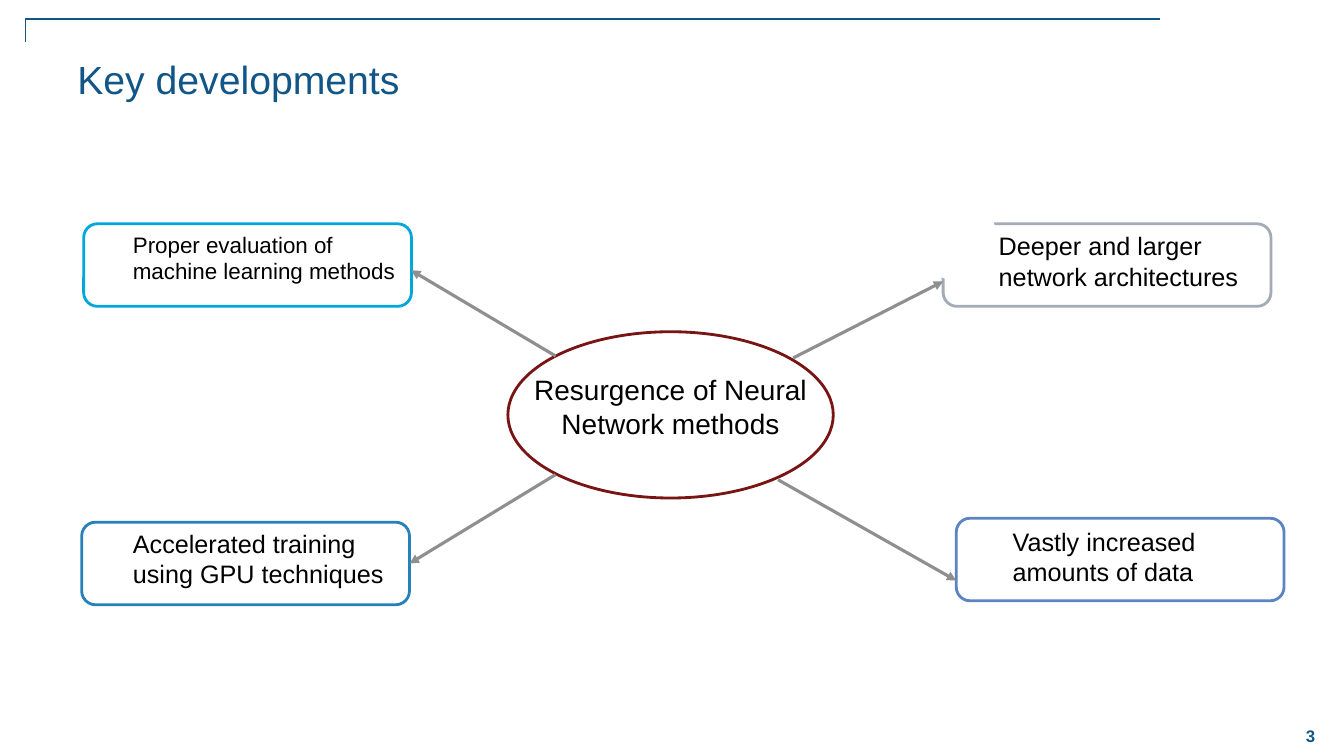
from lxml.etree import SubElement
from pptx import Presentation
from pptx.dml.color import RGBColor
from pptx.enum.shapes import MSO_CONNECTOR, MSO_SHAPE
from pptx.enum.text import MSO_ANCHOR, PP_ALIGN
from pptx.oxml.ns import qn
from pptx.util import Cm, Pt

NAVY = RGBColor(0x12, 0x56, 0x87)
MAROON = RGBColor(0x78, 0x14, 0x14)
CYAN = RGBColor(0x00, 0xA7, 0xD8)
SILVER = RGBColor(0xA3, 0xAC, 0xB4)
BLUE = RGBColor(0x27, 0x80, 0xBA)
PERIWINKLE = RGBColor(0x5A, 0x84, 0xC3)
GRAY = RGBColor(0x8F, 0x8F, 0x8F)
BLACK = RGBColor(0, 0, 0)
WHITE = RGBColor(255, 255, 255)

FONT = "Arial"
TITLE = "Key developments"
CENTER = "Resurgence of Neural Network methods"
PAGE_NUMBER = "3"
BRACKET = [(29.24, 0.48), (0.64, 0.48), (0.64, 1.07)]
BOX_SIZE = (8.26, 2.08)

DEVELOPMENTS = [
    {"text": "Proper evaluation of machine learning methods", "size": 16, "color": CYAN,
     "corner": (2.11, 5.64), "text_area": (3.1, 5.69, 7.8, 2.49), "indent": 0,
     "arrow": (14, 8.97, 10.36, 6.81)},
    {"text": "Deeper and larger network architectures", "size": 18, "color": SILVER,
     "corner": (23.77, 5.64), "text_area": (23.65, 5.69, 9.02, 1.8), "indent": 1.27,
     "arrow": (19.99, 9.02, 23.77, 7.09)},
    {"text": "Accelerated training using GPU techniques", "size": 18, "color": BLUE,
     "corner": (2.06, 13.16), "text_area": (1.83, 13.18, 8.9, 1.8), "indent": 1.27,
     "arrow": (14, 11.96, 10.32, 14.2), "side": 3},
    {"text": "Vastly increased amounts of data", "size": 18, "color": PERIWINKLE,
     "corner": (24.1, 13.06), "text_area": (25.27, 13.13, 7.5, 2.64), "indent": 0,
     "arrow": (19.61, 12.09, 24.1, 14.63)},
]


def lengths(values):
    return [Cm(value) for value in values]


def add_text(shapes, area, text, size, color=BLACK, align=PP_ALIGN.LEFT,
             anchor=MSO_ANCHOR.TOP, bold=False, indent=0):
    box = shapes.add_textbox(*lengths(area))
    box.text_frame.word_wrap = True
    box.text_frame.vertical_anchor = anchor
    box.text_frame.text = text
    paragraph = box.text_frame.paragraphs[0]
    paragraph.alignment = align
    if indent:
        paragraph.level = 1
        properties = paragraph._p.get_or_add_pPr()
        properties.set("marL", str(Cm(indent)))
        properties.set("indent", "0")
    font = paragraph.runs[0].font
    font.name, font.size, font.bold = FONT, Pt(size), bold
    font.color.rgb = color


def add_outline(shapes, kind, area, color=None):
    shape = shapes.add_shape(kind, *lengths(area))
    shape.shadow.inherit = False
    shape.fill.solid()
    shape.fill.fore_color.rgb = WHITE
    if color is None:
        shape.line.fill.background()
    else:
        shape.line.color.rgb = color
        shape.line.width = Pt(2)
    return shape


def add_arrow(shapes, ends, target, side):
    arrow = shapes.add_connector(MSO_CONNECTOR.STRAIGHT, *lengths(ends))
    if side is not None:
        arrow.end_connect(target, side)
    arrow.line.color.rgb = GRAY
    arrow.line.width = Pt(2.25)
    SubElement(arrow.line._get_or_add_ln(), qn("a:tailEnd"), type="triangle")
    SubElement(arrow._element.spPr, qn("a:effectLst"))


def main():
    presentation = Presentation()
    presentation.slide_width, presentation.slide_height = Cm(33.87), Cm(19.05)
    slide = presentation.slides.add_slide(presentation.slide_layouts[6])
    shapes = slide.shapes

    add_text(shapes, (32.18, 18.01, 1.7, 1.07), PAGE_NUMBER, 12, NAVY,
             PP_ALIGN.CENTER, MSO_ANCHOR.MIDDLE, bold=True)

    start, *corners = [lengths(point) for point in BRACKET]
    builder = shapes.build_freeform(*start)
    builder.add_line_segments(corners, close=False)
    bracket = builder.convert_to_shape()
    bracket.shadow.inherit = False
    bracket.fill.background()
    bracket.line.color.rgb = NAVY
    bracket.line.width = Pt(1)

    add_text(shapes, (1.7, 1.27, 29.92, 2.74), TITLE, 28, NAVY)
    add_outline(shapes, MSO_SHAPE.OVAL, (12.8, 8.36, 8.2, 4.19), MAROON)
    add_text(shapes, (13, 9.27, 7.8, 2.82), CENTER, 20, align=PP_ALIGN.CENTER)

    boxes = []
    for item in DEVELOPMENTS:
        group = shapes.add_group_shape()
        boxes.append(add_outline(group.shapes, MSO_SHAPE.ROUNDED_RECTANGLE,
                                 item["corner"] + BOX_SIZE, item["color"]))
        add_text(group.shapes, item["text_area"], item["text"], item["size"],
                 indent=item["indent"])

    add_outline(shapes, MSO_SHAPE.OVAL, (23.14, 4.95, 1.98, 2.13))
    for item, box in zip(DEVELOPMENTS, boxes):
        add_arrow(shapes, item["arrow"], box, item.get("side"))

    presentation.save("out.pptx")


if __name__ == "__main__":
    main()
